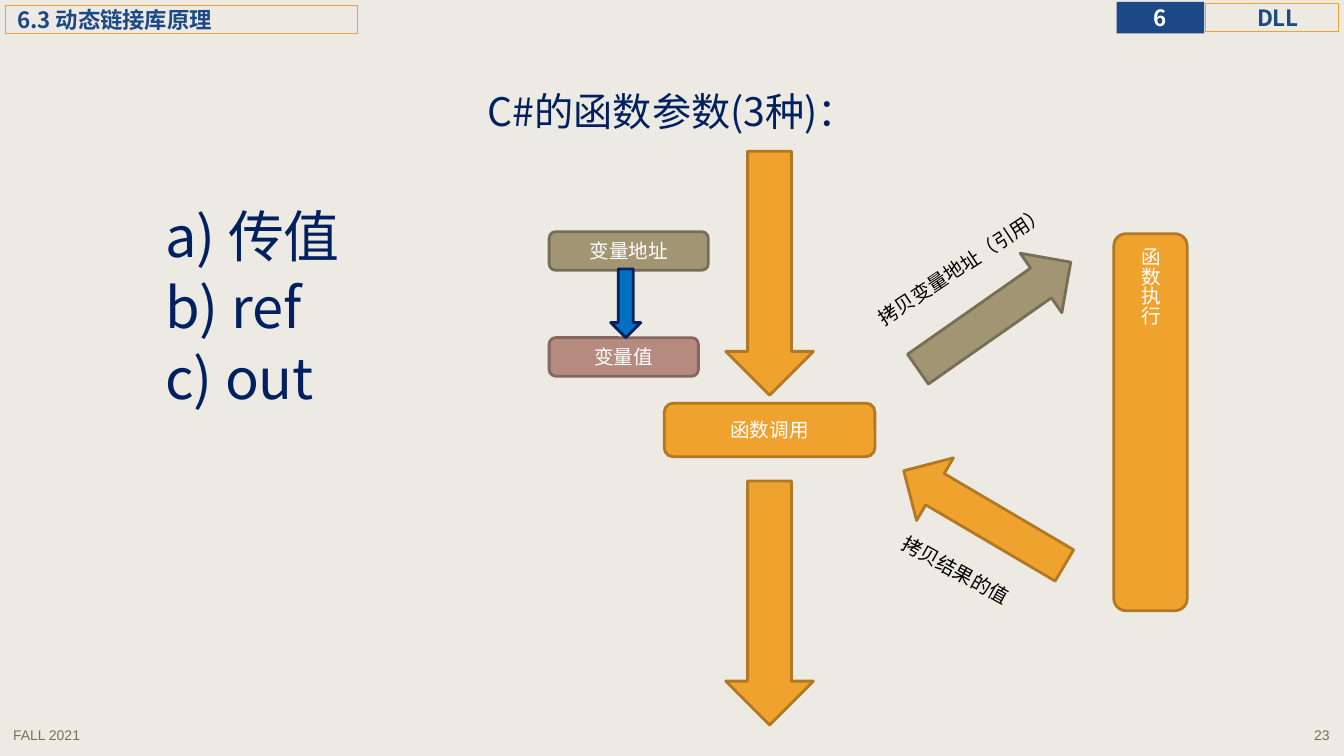
"""Build the slide on the three kinds of C# function parameters."""
from dataclasses import dataclass
from typing import Optional

from lxml.etree import SubElement
from pptx import Presentation
from pptx.dml.color import RGBColor
from pptx.enum.shapes import MSO_SHAPE
from pptx.enum.text import MSO_ANCHOR, MSO_AUTO_SIZE, PP_ALIGN
from pptx.oxml.ns import qn
from pptx.util import Cm, Pt

PAPER = RGBColor(0xEC, 0xEA, 0xE3)
WHITE = RGBColor(0xFF, 0xFF, 0xFF)
BLACK = RGBColor(0, 0, 0)
NAVY = RGBColor(0x00, 0x20, 0x60)
BLUE = RGBColor(0x1C, 0x48, 0x85)
SKY = RGBColor(0x00, 0x70, 0xC0)
GOLD = RGBColor(0xF0, 0xA2, 0x2E)
RUST = RGBColor(0xB2, 0x78, 0x22)
SAND = RGBColor(0xA1, 0x95, 0x74)
EARTH = RGBColor(0x77, 0x6E, 0x56)
ROSE = RGBColor(0xB5, 0x8B, 0x80)
PLUM = RGBColor(0x86, 0x67, 0x5F)
GREY = RGBColor(0x7C, 0x71, 0x54)

HAN = "Noto Sans CJK SC"
LATIN = "Arial"
RECT = MSO_SHAPE.RECTANGLE
ROUND = MSO_SHAPE.ROUNDED_RECTANGLE
DOWN = MSO_SHAPE.DOWN_ARROW
RIGHT = MSO_SHAPE.RIGHT_ARROW
LEFT = PP_ALIGN.LEFT
MID = PP_ALIGN.CENTER
END = PP_ALIGN.RIGHT

Box = tuple[float, float, float, float]


@dataclass(frozen=True)
class Tab:
    box: Box
    text: str
    fill: Optional[RGBColor] = None
    align: PP_ALIGN = MID
    inset: float = 0.3


@dataclass(frozen=True)
class Part:
    kind: MSO_SHAPE
    box: Box
    fill: RGBColor = GOLD
    line: RGBColor = RUST
    text: str = ""
    turn: float = 0
    tall: bool = False


@dataclass(frozen=True)
class Label:
    box: Box
    text: str
    turn: float = 0
    size: float = 14
    font: str = HAN
    color: RGBColor = BLACK
    align: PP_ALIGN = LEFT


TABS = [
    Tab((30.38, 0.1, 3.35, 0.69), "DLL"),
    Tab((28.14, 0.05, 2.21, 0.79), "6", fill=BLUE, inset=0),
    Tab((0.13, 0.15, 8.89, 0.69), "6.3 动态链接库原理", align=LEFT),
]
PARTS = [
    Part(ROUND, (28.07, 5.89, 1.85, 9.5), text="函数执行", tall=True),
    Part(DOWN, (18.29, 3.81, 2.21, 6.15)),
    Part(DOWN, (18.29, 12.12, 2.21, 6.15)),
    Part(ROUND, (16.74, 10.16, 5.31, 1.35), text="函数调用"),
    Part(RIGHT, (22.71, 7.04, 4.7, 1.83), SAND, EARTH, turn=325),
    Part(RIGHT, (22.45, 12.14, 4.7, 1.83), turn=210.5),
    Part(ROUND, (13.84, 5.84, 4.01, 0.97), SAND, EARTH, "变量地址"),
    Part(ROUND, (13.84, 8.51, 3.76, 0.97), ROSE, PLUM, "变量值"),
    Part(DOWN, (15.39, 6.78, 0.76, 1.73), SKY, NAVY),
]
LABELS = [
    Label((21.44, 5.84, 6.96, 1.02), "拷贝变量地址（引用）", 326.5),
    Label((22.25, 14.15, 4.37, 1.02), "拷贝结果的值", 29),
    Label((0.08, 18.19, 7.06, 0.79), "FALL 2021", 0, 10, LATIN, GREY),
    Label((26.7, 18.19, 7.06, 0.79), "23", 0, 10, LATIN, GREY, END),
]


def write(frame, text: str, *, size: float = 14, color: RGBColor = WHITE,
          font: str = HAN, bold: bool = False, align: PP_ALIGN = MID,
          anchor: MSO_ANCHOR = MSO_ANCHOR.MIDDLE, lead: float = 1,
          gap: float = 0) -> None:
    """Fill a text frame with one paragraph per line of text."""
    frame.word_wrap = True
    frame.auto_size = MSO_AUTO_SIZE.NONE
    frame.vertical_anchor = anchor
    for i, line in enumerate(text.split("\n")):
        para = frame.add_paragraph() if i else frame.paragraphs[0]
        para.alignment = align
        para.line_spacing = lead
        para.space_before = Pt(gap)
        run = para.add_run()
        run.text = line
        run.font.size = Pt(size)
        run.font.bold = bold
        run.font.name = font
        run.font.color.rgb = color
        SubElement(run.font._element, qn("a:ea"), typeface=font)


def place(shape, box: Box) -> None:
    """Move and size a shape."""
    shape.left, shape.top, shape.width, shape.height = map(Cm, box)


def draw(slide, kind: MSO_SHAPE, box: Box, fill: Optional[RGBColor],
         line: Optional[RGBColor], width: float):
    """Add a flat preset shape."""
    shape = slide.shapes.add_shape(kind, *map(Cm, box))
    shape.shadow.inherit = False
    if fill is None:
        shape.fill.background()
    else:
        shape.fill.solid()
        shape.fill.fore_color.rgb = fill
    if line is None:
        shape.line.fill.background()
    else:
        shape.line.color.rgb = line
        shape.line.width = Pt(width)
    return shape


def add_tab(slide, tab: Tab) -> None:
    """Add one tab of the page header."""
    line = None if tab.fill else GOLD
    frame = draw(slide, RECT, tab.box, tab.fill, line, 0.75).text_frame
    frame.margin_left = Cm(tab.inset)
    frame.margin_right = frame.margin_top = frame.margin_bottom = 0
    write(frame, tab.text, size=16, bold=True, align=tab.align,
          color=WHITE if tab.fill else BLUE)


def add_part(slide, part: Part) -> None:
    """Add one box or arrow of the call diagram."""
    shape = draw(slide, part.kind, part.box, part.fill, part.line, 2)
    shape.rotation = part.turn
    if part.text:
        write(shape.text_frame, part.text, align=LEFT if part.tall else MID)
    if part.tall:
        shape.text_frame._txBody.bodyPr.set("vert", "eaVert")


def add_label(slide, label: Label) -> None:
    """Add one plain text label."""
    shape = slide.shapes.add_textbox(*map(Cm, label.box))
    shape.rotation = label.turn
    write(shape.text_frame, label.text, size=label.size, font=label.font,
          color=label.color, align=label.align, anchor=MSO_ANCHOR.TOP)


def add_heads(slide) -> None:
    """Fill the title and the list."""
    title, body = slide.shapes.title, slide.placeholders[1]
    place(title, (2.34, 1.02, 29.21, 3.68))
    place(body, (3.96, 5.18, 9.45, 11.71))
    for shape in (title, body):
        frame = shape.text_frame
        frame.margin_left = frame.margin_right = Cm(0.2)
        frame.margin_top = frame.margin_bottom = Cm(0.1)
    write(title.text_frame, "C#的函数参数(3种)：", size=28, color=NAVY, lead=0.9)
    write(body.text_frame, "a) 传值\nb) ref\nc) out", size=40, color=NAVY,
          align=LEFT, anchor=MSO_ANCHOR.TOP, lead=0.9, gap=7.5)
    for para in body.text_frame.paragraphs:
        props = para._p.get_or_add_pPr()
        props.set("marL", "0")
        props.set("indent", "0")
        SubElement(props, qn("a:buNone"))


def main() -> None:
    """Build and save the deck."""
    deck = Presentation()
    deck.slide_width, deck.slide_height = Cm(33.87), Cm(19.05)
    slide = deck.slides.add_slide(deck.slide_layouts[1])
    slide.background.fill.solid()
    slide.background.fill.fore_color.rgb = PAPER
    add_heads(slide)
    for tab in TABS:
        add_tab(slide, tab)
    for part in PARTS:
        add_part(slide, part)
    for label in LABELS:
        add_label(slide, label)
    deck.save("out.pptx")


if __name__ == "__main__":
    main()
